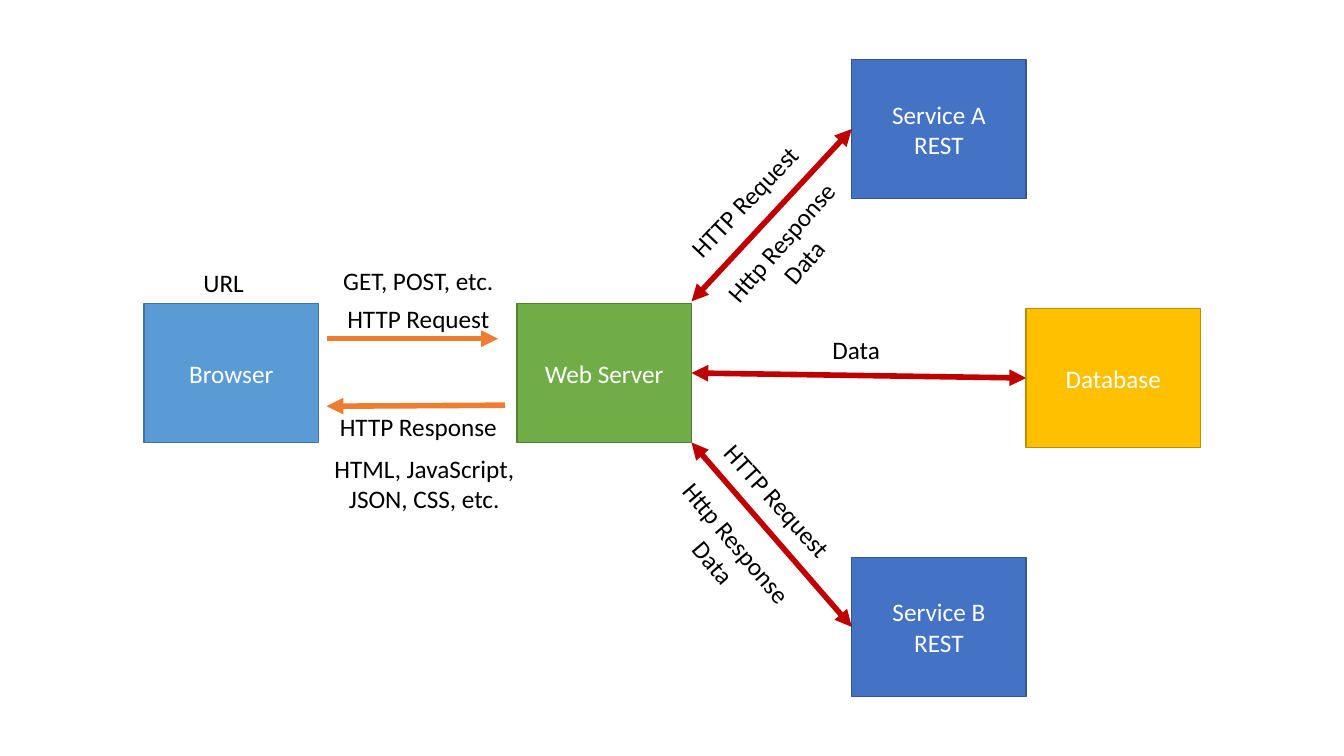
from lxml.etree import SubElement
from pptx import Presentation
from pptx.dml.color import RGBColor
from pptx.enum.shapes import MSO_CONNECTOR as Connector, MSO_SHAPE as Shape
from pptx.enum.text import MSO_ANCHOR as Anchor, MSO_AUTO_SIZE as AutoSize, PP_ALIGN as Align
from pptx.oxml.ns import qn
from pptx.util import Inches, Pt

WHITE = RGBColor(0xFF, 0xFF, 0xFF)
BLACK = RGBColor(0x00, 0x00, 0x00)
SKY, SKY_EDGE = RGBColor(0x5B, 0x9B, 0xD5), RGBColor(0x43, 0x73, 0x9E)
GREEN, GREEN_EDGE = RGBColor(0x70, 0xAD, 0x47), RGBColor(0x53, 0x80, 0x35)
GOLD, GOLD_EDGE = RGBColor(0xFF, 0xC0, 0x00), RGBColor(0xBD, 0x8E, 0x00)
BLUE, BLUE_EDGE = RGBColor(0x44, 0x72, 0xC4), RGBColor(0x32, 0x54, 0x91)
ORANGE = RGBColor(0xED, 0x7D, 0x31)
RED = RGBColor(0xC0, 0x00, 0x00)

# Ten grid cells to the inch, both ways
CELL = 0.1
COLUMNS, ROWS = 133.33, 75
NODE_SIZE = (17.3, 13.8)
LEFT_SIDE, RIGHT_SIDE = 1, 3


def grid(*cells):
    return [Inches(count * CELL) for count in cells]


class Diagram:
    """Holds the text style and the slide that the elements are added to."""

    font = {"name": "Calibri", "size": Pt(18)}

    def __init__(self, slide):
        self.slide = slide

    def set_text(self, shape, lines, color, align):
        frame = shape.text_frame
        frame.text = "\n".join(lines)
        for paragraph in frame.paragraphs:
            paragraph.alignment = align
            font = paragraph.runs[0].font
            for name, value in self.font.items():
                setattr(font, name, value)
            font.color.rgb = color

    def node(self, left, top, fill, edge, *lines):
        shape = self.slide.shapes.add_shape(Shape.RECTANGLE, *grid(left, top, *NODE_SIZE))
        shape.shadow.inherit = False
        shape.fill.solid()
        shape.fill.fore_color.rgb = fill
        shape.line.color.rgb = edge
        shape.line.width = Pt(1)
        shape.text_frame.vertical_anchor = Anchor.MIDDLE
        self.set_text(shape, lines, WHITE, Align.CENTER)
        return shape

    def label(self, box, *lines, align=Align.CENTER, wrap=True, rotation=0):
        shape = self.slide.shapes.add_textbox(*grid(*box))
        frame_format = {"word_wrap": wrap, "auto_size": AutoSize.SHAPE_TO_FIT_TEXT}
        for name, value in frame_format.items():
            setattr(shape.text_frame, name, value)
        shape.rotation = rotation
        self.set_text(shape, lines, BLACK, align)
        return shape

    def arrow(self, start, end, color, heads):
        """Draw a straight arrow; heads lists "headEnd" (start) and "tailEnd" (end)."""
        connector = self.slide.shapes.add_connector(Connector.STRAIGHT, *grid(*start, *end))
        connector.line.color.rgb = color
        connector.line.width = Pt(4)
        properties = connector.element.spPr
        for head in heads:
            SubElement(properties.find(qn("a:ln")), qn("a:" + head), type="triangle")
        SubElement(properties, qn("a:effectLst"))
        return connector

    def group(self, *shapes):
        self.slide.shapes.add_group_shape(shapes=shapes)


def main():
    presentation = Presentation()
    presentation.slide_width, presentation.slide_height = grid(COLUMNS, ROWS)
    diagram = Diagram(presentation.slides.add_slide(presentation.slide_layouts[6]))
    both_heads = ("headEnd", "tailEnd")

    diagram.node(14.3, 30.1, SKY, SKY_EDGE, "Browser")
    server = diagram.node(51.3, 30.1, GREEN, GREEN_EDGE, "Web Server")
    database = diagram.node(101.8, 30.6, GOLD, GOLD_EDGE, "Database")
    service_a = diagram.node(84.5, 5.9, BLUE, BLUE_EDGE, "Service A", "REST")
    service_b = diagram.node(84.5, 55.3, BLUE, BLUE_EDGE, "Service B", "REST")

    diagram.label((19.2, 26, 6.4, 4), "URL", align=Align.LEFT, wrap=False)
    diagram.group(
        diagram.arrow((32.4, 33.6), (49.4, 33.6), ORANGE, ["tailEnd"]),
        diagram.label((31.6, 29.6, 19.8, 4), "HTTP Request"),
    )
    diagram.group(
        diagram.arrow((32.4, 40.3), (50.1, 40.2), ORANGE, ["headEnd"]),
        diagram.label((31.6, 40.3, 19.8, 4), "HTTP Response"),
    )
    diagram.label((31.6, 25.8, 19.8, 4), "GET, POST, etc.")
    diagram.label((31.6, 44.5, 21, 7.1), "HTML, JavaScript, JSON, CSS, etc.")

    data_arrow = diagram.arrow((68.6, 37), (101.8, 37.5), RED, both_heads)
    data_arrow.begin_connect(server, RIGHT_SIDE)
    data_arrow.end_connect(database, LEFT_SIDE)
    diagram.group(
        data_arrow,
        diagram.label((81.6, 32.7, 6.7, 4), "Data", align=Align.LEFT, wrap=False),
    )

    # Service, its middle row, server corner row, then left, top and angle of both labels
    service_links = [
        (service_a, 12.8, 29.9, (65.7, 17.8, 313.5), (70.1, 21.5, 311.1)),
        (service_b, 62.2, 43.9, (69, 47.9, 47.9), (63.4, 51.3, 49.7)),
    ]
    for service, middle, corner, request, response in service_links:
        link = diagram.arrow((68.6, corner), (84.5, middle), RED, both_heads)
        link.end_connect(service, LEFT_SIDE)
        diagram.group(
            link,
            diagram.label((*request[:2], 16.6, 4), "HTTP Request",
                          align=Align.LEFT, wrap=False, rotation=request[2]),
            diagram.label((*response[:2], 17, 7.1), "Http Response", "Data",
                          wrap=False, rotation=response[2]),
        )

    presentation.save("out.pptx")


if __name__ == "__main__":
    main()
